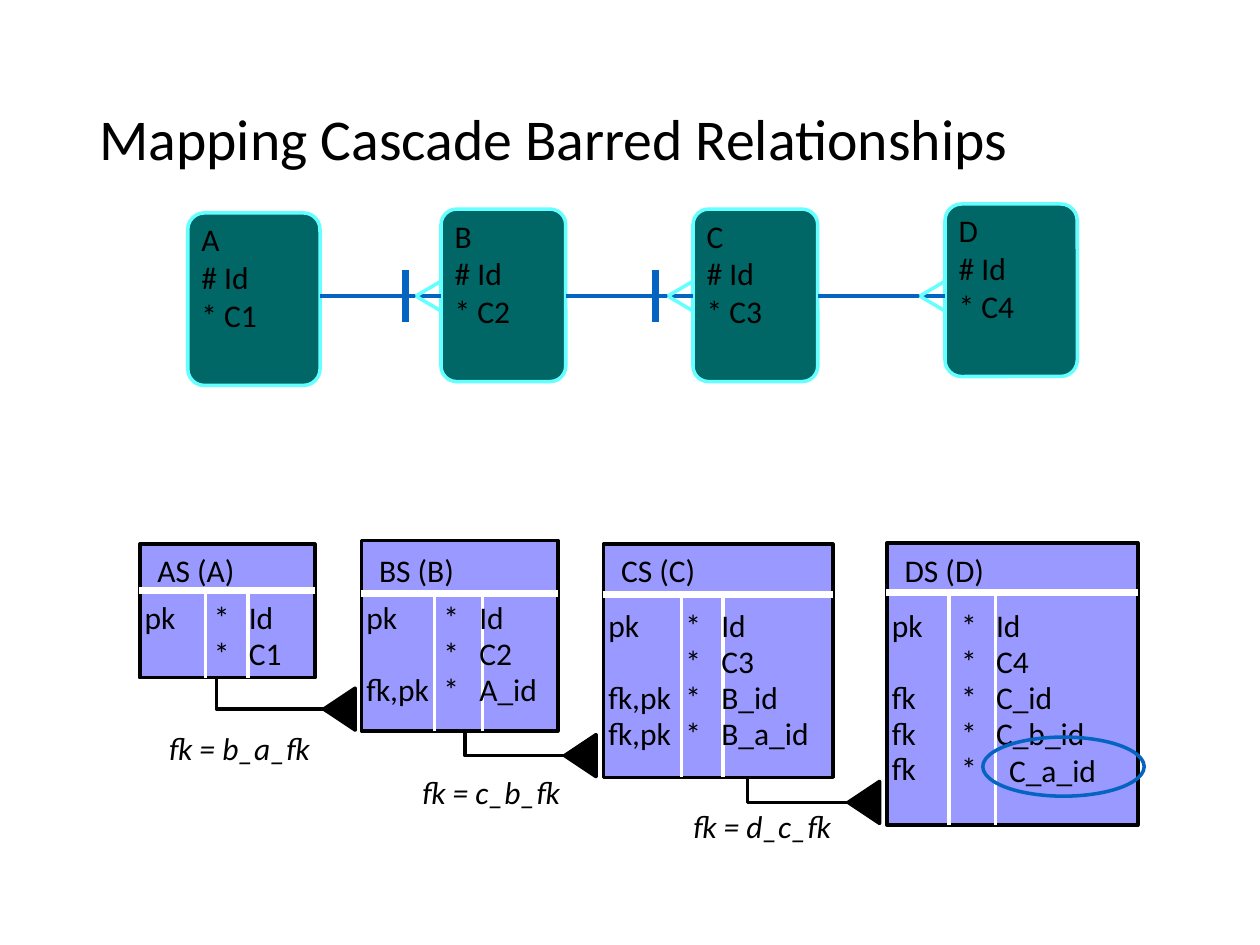
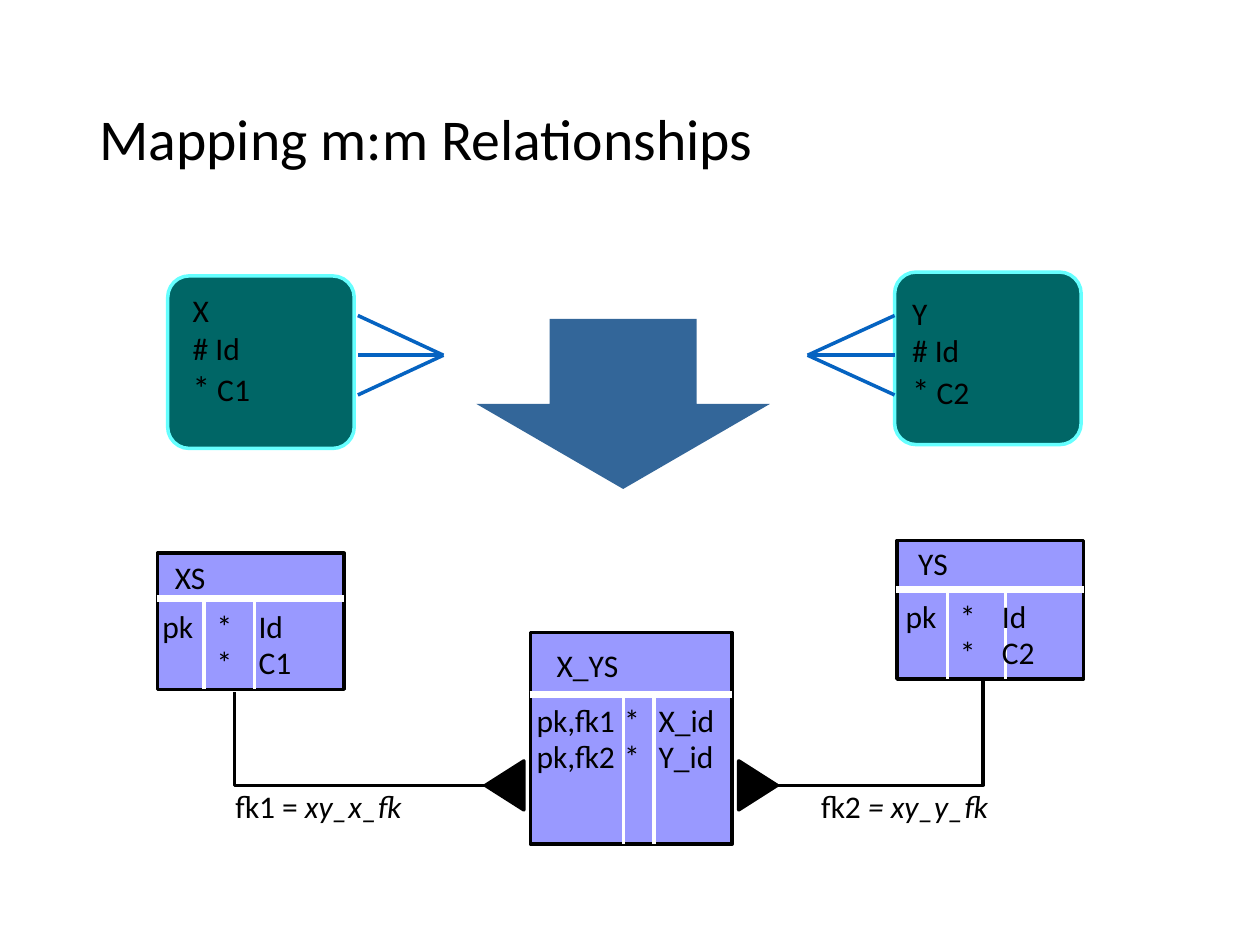
"""Build two slides on mapping entity relationships to database tables."""
from dataclasses import dataclass
from typing import NamedTuple

from lxml import etree
from pptx import Presentation
from pptx.dml.color import RGBColor
from pptx.enum import shapes as kinds, text as txt
from pptx.oxml.ns import qn
from pptx.util import Pt

BLACK = RGBColor(0x00, 0x00, 0x00)
WHITE = RGBColor(0xFF, 0xFF, 0xFF)
TEAL = RGBColor(0x00, 0x66, 0x66)
CYAN = RGBColor(0x66, 0xFF, 0xFF)
BLUE = RGBColor(0x05, 0x63, 0xC1)
STEEL = RGBColor(0x33, 0x66, 0x99)
LILAC = RGBColor(0x99, 0x99, 0xFF)
FONT = "Calibri"
THIN, THICK = 2, 4
TIGHT = 0.95


class Run(NamedTuple):
    text: str
    size: float = 18
    italic: bool = False


class Box(NamedTuple):
    left: float
    top: float
    width: float
    height: float


@dataclass
class Entity:
    box: Box
    runs: list[Run]
    text_dx: float = 0.7
    text_dy: float = 0.7


@dataclass
class Table:
    box: Box
    name: str
    name_top: float
    rule_y: float
    columns: tuple[float, float]
    body_top: float
    tabs: tuple[float, float]
    rows: list[str]
    name_dx: float = 2.9
    body_dx: float = -4.3


@dataclass
class ForeignKey:
    start: tuple[float, float]
    end: tuple[float, float]
    head_x: float
    label: list[Run]
    label_box: Box
    head_size: tuple[float, float] = (24, 18)
    rotation: int = 270


def add_text(slide, box: Box, runs: list[Run], *, spacing: float = 1.0,
             anchor=txt.MSO_ANCHOR.TOP, tabs: tuple[float, ...] = ()) -> None:
    """Write runs in one paragraph, with a line break at each newline."""
    frame = slide.shapes.add_textbox(*map(Pt, box)).text_frame
    frame.word_wrap = True
    frame.vertical_anchor = anchor
    paragraph = frame.paragraphs[0]
    paragraph.line_spacing = spacing
    if tabs:
        stops = etree.SubElement(paragraph._p.get_or_add_pPr(), qn("a:tabLst"))
        for position in tabs:
            etree.SubElement(stops, qn("a:tab"), pos=str(Pt(position)), algn="l")
    for run in runs:
        for index, line in enumerate(run.text.split("\n")):
            if index:
                paragraph.add_line_break()
            if line:
                piece = paragraph.add_run()
                piece.text = line
                piece.font.name = FONT
                piece.font.size = Pt(run.size)
                piece.font.italic = run.italic
                piece.font.color.rgb = BLACK


def style(shape, fill: RGBColor | None, line: RGBColor | None) -> None:
    """Set fill and outline, without a shadow."""
    shape.shadow.inherit = False
    if fill is None:
        shape.fill.background()
    else:
        shape.fill.solid()
        shape.fill.fore_color.rgb = fill
    if line is None:
        shape.line.fill.background()
    else:
        shape.line.color.rgb = line
        shape.line.width = Pt(THIN)


def add_shape(slide, kind, box: Box, fill: RGBColor | None, line: RGBColor | None):
    """Draw a preset shape."""
    shape = slide.shapes.add_shape(kind, *map(Pt, box))
    style(shape, fill, line)
    return shape


def add_line(slide, x1: float, y1: float, x2: float, y2: float,
             color: RGBColor, width: float = THIN) -> None:
    """Draw a straight line."""
    line = slide.shapes.add_connector(
        kinds.MSO_CONNECTOR.STRAIGHT, Pt(x1), Pt(y1), Pt(x2), Pt(y2))
    line.line.color.rgb = color
    line.line.width = Pt(width)
    etree.SubElement(line._element.spPr, qn("a:effectLst"))


def add_crow_foot(slide, tip_x: float, base_x: float, y: float,
                  spread: float, color: RGBColor) -> None:
    """Draw the two outer toes of a crow's foot."""
    for toe_y in (y - spread, y + spread):
        add_line(slide, tip_x, y, base_x, toe_y, color)


def add_entity(slide, entity: Entity) -> None:
    """Draw a rounded entity box with its attributes."""
    box = entity.box
    outline = add_shape(slide, kinds.MSO_SHAPE.ROUNDED_RECTANGLE, box, TEAL, CYAN)
    outline.adjustments[0] = 0.125
    place = Box(box.left + entity.text_dx, box.top + entity.text_dy, box.width, 73)
    add_text(slide, place, entity.runs)


def add_table_diagram(slide, table: Table) -> None:
    """Draw a table box with its name, rules and column rows."""
    left, top, width, height = table.box
    add_shape(slide, kinds.MSO_SHAPE.RECTANGLE, table.box, LILAC, BLACK)
    add_line(slide, left - 0.5, table.rule_y, left + width, table.rule_y, WHITE, THICK)
    for x in table.columns:
        add_line(slide, x, table.rule_y, x, top + height, WHITE)
    add_text(slide, Box(left + table.name_dx, table.name_top, 70, 28),
             [Run(table.name)], spacing=TIGHT)
    add_text(slide, Box(left + table.body_dx, table.body_top, width + 15,
                        7.5 + 20.5 * len(table.rows)),
             [Run("\n".join(table.rows))], spacing=TIGHT, tabs=table.tabs)


def add_foreign_key(slide, key: ForeignKey) -> None:
    """Draw an elbow from one table to the next, with its head and label."""
    (start_x, start_y), (end_x, y) = key.start, key.end
    outline = slide.shapes.build_freeform(Pt(end_x), Pt(y))
    outline.add_line_segments(
        [(Pt(start_x), Pt(y)), (Pt(start_x), Pt(start_y))], close=False)
    style(outline.convert_to_shape(), None, BLACK)
    width, height = key.head_size
    head = add_shape(slide, kinds.MSO_SHAPE.ISOSCELES_TRIANGLE,
                     Box(key.head_x - width / 2, y - height / 2, width, height),
                     BLACK, BLACK)
    head.rotation = key.rotation
    add_text(slide, key.label_box, key.label, spacing=TIGHT)


def add_slide(deck, title: str, entities: list[Entity],
              keys: list[ForeignKey], tables: list[Table]):
    """Add a titled slide with its entities, foreign keys and tables."""
    slide = deck.slides.add_slide(deck.slide_layouts[6])
    add_text(slide, Box(49.7, 28.8, 620.6, 104.4), [Run(title, 33)],
             spacing=0.9, anchor=txt.MSO_ANCHOR.MIDDLE)
    for entity in entities:
        add_entity(slide, entity)
    for key in keys:
        add_foreign_key(slide, key)
    for table in tables:
        add_table_diagram(slide, table)
    return slide


def build_cascade(deck) -> None:
    """Build the slide on cascade barred relationships."""
    entities = [
        Entity(Box(left, top, width, 98.6), [Run(f"{name}\n# Id\n* C{number}")])
        for number, (name, left, top, width) in enumerate([
            ("A", 107.3, 121.7, 75.6), ("B", 252, 119.5, 71.3),
            ("C", 396, 119.5, 71.3), ("D", 540, 116.6, 75.6)], start=1)]
    narrow, wide = (39.5, 59.5), (44, 64.5)
    tables = [
        Table(Box(79.9, 311, 100.1, 76.3), "AS (A)", 313.2, 337.7, (117.4, 141.8),
              339.8, narrow, ["pk\t*\tId", "\t*\tC1"]),
        Table(Box(206.6, 308.9, 112.3, 108.7), "BS (B)", 313.2, 339.1, (248.4, 275.8),
              339.8, wide, ["pk\t*\tId", "\t*\tC2", "fk,pk\t*\tA_id"]),
        Table(Box(344.9, 311, 131, 133.2), "CS (C)", 313.2, 339.8, (389.5, 413.3),
              344.2, wide,
              ["pk\t*\tId", "\t*\tC3", "fk,pk\t*\tB_id", "fk,pk\t*\tB_a_id"]),
        Table(Box(506.9, 310.3, 143.3, 161.3), "DS (D)", 313.2, 338.4, (542.2, 568.8),
              344.2, narrow,
              ["pk\t*\tId", "\t*\tC4", "fk\t*\tC_id", "fk\t*\tC_b_id", "fk\t*"]),
    ]
    keys = [
        ForeignKey(start, end, head_x, [Run(label, italic=True)], Box(*place, 108, 28))
        for start, end, head_x, label, place in [
            ((123.8, 387.4), (196.6, 405.2), 194, "fk = b_a_fk", (89.3, 414.7)),
            ((265.7, 414.7), (338.4, 431.8), 331.6, "fk = c_b_fk", (234, 439.9)),
            ((427, 442.1), (500.4, 458.5), 493.6, "fk = d_c_fk", (388.8, 459.4))]]
    slide = add_slide(deck, "Mapping Cascade Barred Relationships",
                      entities, keys, tables)
    axis = 169.2
    for parent, child in zip(entities, entities[1:]):
        start, end = parent.box.left + parent.box.width, child.box.left
        add_line(slide, start, axis, end, axis, BLUE)
        add_crow_foot(slide, end - 14.4, end - 0.5, axis, 8.2, CYAN)
    for bar_x in (231.8, 374.4):
        add_line(slide, bar_x, axis - 15, bar_x, axis + 15, BLUE, THICK)
    add_shape(slide, kinds.MSO_SHAPE.OVAL, Box(561.6, 421.2, 92.2, 33.8), None, BLUE)
    add_text(slide, Box(569.5, 425.5, 78.5, 28.8), [Run("C_a_id")])


def build_many_to_many(deck) -> None:
    """Build the slide on many-to-many relationships."""
    entities = [
        Entity(Box(left, top, 106.6, 98.6),
               [Run(f"{name}\n# Id\n"), Run("*", 20), Run(f" {column}")], dx, dy)
        for name, column, left, top, dx, dy in [
            ("X", "C1", 95.8, 157.7, 7.2, 5), ("Y", "C2", 511.2, 155.5, 2.9, 8.7)]]
    outer = (31, 55)
    tables = [
        Table(Box(90, 316.1, 106.6, 77.8), "XS", 316.8, 342, (116.6, 145.4),
              344.9, outer, ["pk\t*\tId", "\t*\tC1"]),
        Table(Box(512.6, 308.9, 106.6, 79.2), "YS", 308.9, 337, (541.4, 574.6),
              339.1, outer, ["pk\t*\tId", "\t*\tC2"], 5, -2.1),
        Table(Box(303.1, 361.4, 115.2, 121), "X_YS", 367.2, 396.7, (356.4, 373.7),
              398.9, (50, 69.7), ["pk,fk1\t*\tX_id", "pk,fk2\t*\tY_id"], 7.9, -3.6),
    ]
    head = (28, 22)
    keys = [
        ForeignKey((133.9, 395.3), (298.8, 448.8), 288.4,
                   [Run("fk1 ="), Run(" xy_x_fk", italic=True)],
                   Box(127.4, 447.8, 154.8, 28.8), head),
        ForeignKey((561.6, 388.8), (429.1, 448.8), 433.1,
                   [Run("fk2 "), Run("= xy_y_fk", italic=True)],
                   Box(462.2, 447.8, 154.8, 28.8), head, 90),
    ]
    slide = add_slide(deck, "Mapping m:m Relationships", entities, keys, tables)
    axis = 203
    for tip_x, base_x in ((253.4, 204.5), (461.5, 511.2)):
        add_line(slide, tip_x, axis, base_x, axis, BLUE)
        add_crow_foot(slide, tip_x, base_x, axis, 22.7, BLUE)
    add_shape(slide, kinds.MSO_SHAPE.DOWN_ARROW, Box(272.2, 182.2, 167.8, 97.2),
              STEEL, None)


def main() -> None:
    """Build and save the deck."""
    deck = Presentation()
    deck.slide_width, deck.slide_height = Pt(720), Pt(540)
    build_cascade(deck)
    build_many_to_many(deck)
    deck.save("out.pptx")


main()
